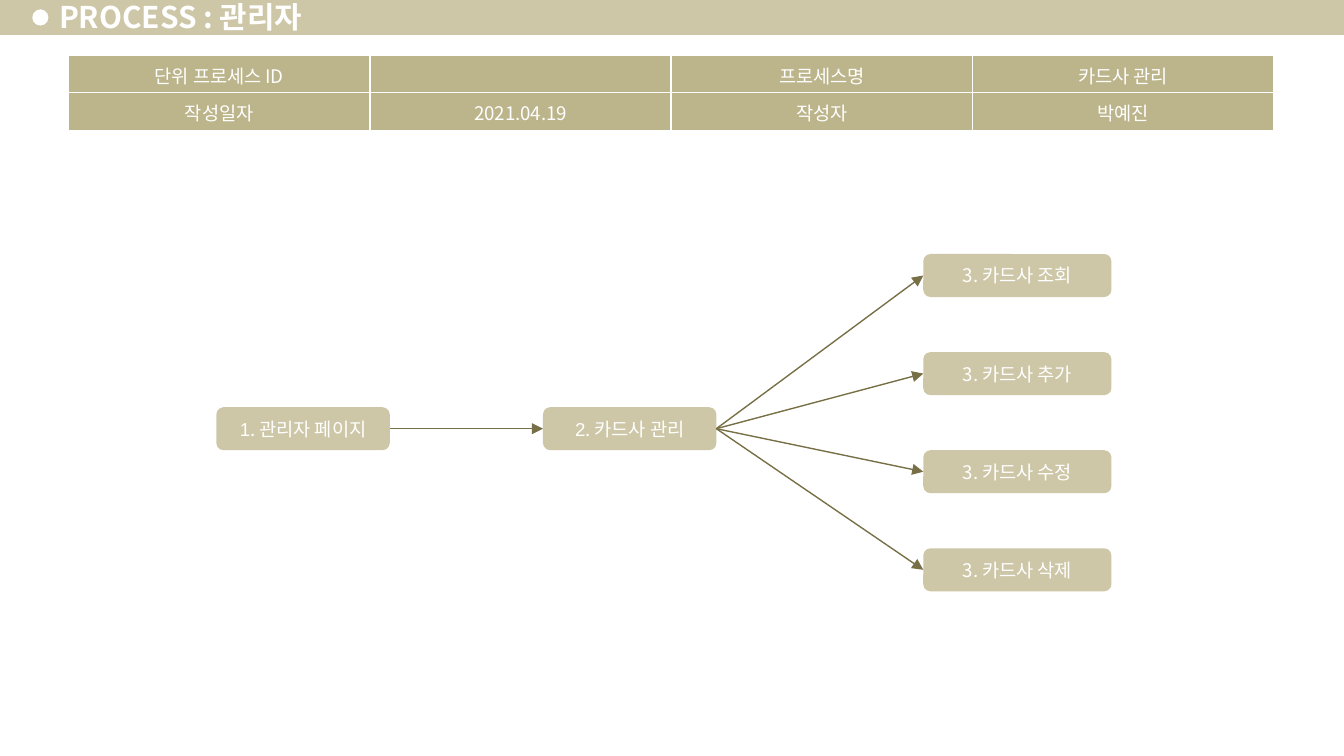
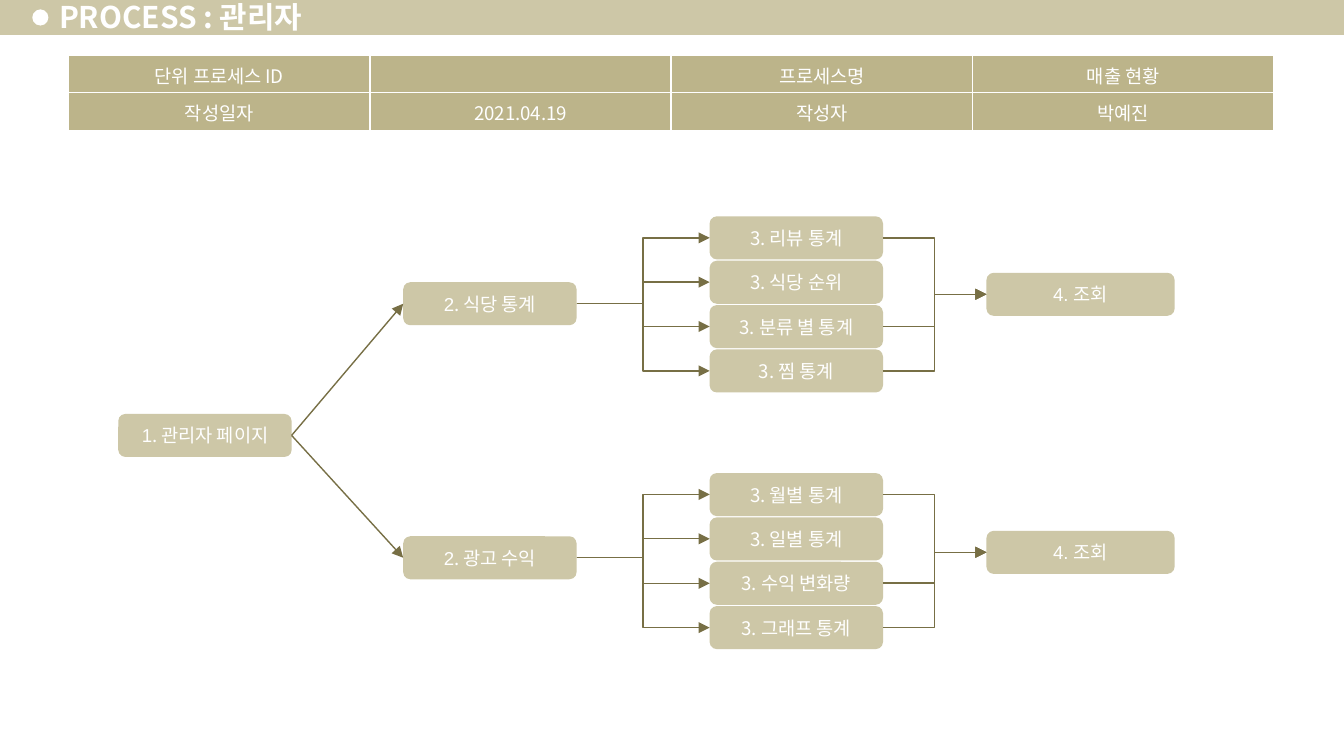
from dataclasses import dataclass

from lxml import etree
from pptx import Presentation
from pptx.dml.color import RGBColor
from pptx.enum.shapes import MSO_CONNECTOR, MSO_SHAPE
from pptx.enum.text import MSO_ANCHOR, PP_ALIGN
from pptx.oxml.ns import qn
from pptx.util import Inches, Pt


@dataclass(frozen=True)
class Theme:
    """Colours, fonts and type sizes of the deck."""
    band: RGBColor = RGBColor(0xCD, 0xC7, 0xA7)
    cell: RGBColor = RGBColor(0xBC, 0xB4, 0x8A)
    arrow: RGBColor = RGBColor(0x77, 0x6F, 0x45)
    white: RGBColor = RGBColor(0xFF, 0xFF, 0xFF)
    korean: str = "Noto Sans CJK KR"
    latin: str = "Arial"
    title: Pt = Pt(16)
    body: Pt = Pt(10)


theme = Theme()


def style_run(run, size, font=theme.korean, bold=False):
    """Give a run its size, white colour and Latin and Korean fonts."""
    run.font.size, run.font.bold, run.font.name = size, bold, font
    run.font.color.rgb = theme.white
    run.font._element.find(qn("a:latin")).addnext(
        etree.Element(qn("a:ea"), typeface=theme.korean))


def add_panel(slide, kind, color, left, top, width, height):
    """Add a flat preset shape without line or shadow."""
    panel = slide.shapes.add_shape(
        kind, Inches(left), Inches(top), Inches(width), Inches(height))
    panel.shadow.inherit = False
    panel.fill.solid()
    panel.fill.fore_color.rgb = color
    panel.line.fill.background()
    return panel


STRAIGHT, ELBOW = MSO_CONNECTOR.STRAIGHT, MSO_CONNECTOR.ELBOW
LEFT_SIDE, RIGHT_SIDE = 1, 3
STEP_HEIGHT, NARROW, WIDE = 0.32, 1.29, 1.4
ARIAL_NUMBERS = "12"  # levels with only the numeral in the Latin font

# Steps are (text, left, top, width); links are (from, to, connector kind).
card_steps = [("1. 관리자 페이지", 1.61, 3.03, NARROW),
              ("2. 카드사 관리", 4.04, 3.03, NARROW)]
card_links = [(0, 1, STRAIGHT)]
for row, action in enumerate(["조회", "추가", "수정", "삭제"]):
    card_links.append((1, len(card_steps), STRAIGHT))
    card_steps.append((f"3. 카드사 {action}", 6.87, 1.89 + 0.73 * row, WIDE))

sales_steps = [("1. 관리자 페이지", 0.88, 3.08, NARROW)]
sales_links = []
branches = [
    ("식당 통계", 2.1, 1.61, 2.03, ["리뷰 통계", "식당 순위", "분류 별 통계", "찜 통계"]),
    ("광고 수익", 3.99, 3.52, 3.95, ["월별 통계", "일별 통계", "수익 변화량", "그래프 통계"]),
]
for branch, branch_top, reports_top, view_top, reports in branches:
    branch_step = len(sales_steps)
    view_step = branch_step + 1
    sales_steps += [(f"2. {branch}", 3, branch_top, NARROW),
                    ("4. 조회", 7.34, view_top, WIDE)]
    sales_links.append((0, branch_step, STRAIGHT))
    for row, report in enumerate(reports):
        report_step = len(sales_steps)
        sales_steps.append((f"3. {report}", 5.28, reports_top + 0.33 * row, NARROW))
        sales_links.append((branch_step, report_step, ELBOW))
        if report not in ("식당 순위", "일별 통계"):  # these share the trunk
            sales_links.append((report_step, view_step, ELBOW))

processes = [("카드사 관리", card_steps, card_links),
             ("매출 현황", sales_steps, sales_links)]

deck = Presentation()
deck.slide_width = Inches(10)
deck.slide_height = deck.slide_width * 9 // 16

for process, steps, links in processes:
    slide = deck.slides.add_slide(deck.slide_layouts[6])

    # Title band
    add_panel(slide, MSO_SHAPE.RECTANGLE, theme.band, 0, -0.02, 10, 0.28)
    add_panel(slide, MSO_SHAPE.OVAL, theme.white, 0.24, 0.07, 0.12, 0.12)
    title = slide.shapes.add_textbox(
        Inches(0.35), Inches(-0.04), Inches(2.41), Inches(0.32)).text_frame
    title.word_wrap = True
    title.vertical_anchor = MSO_ANCHOR.MIDDLE
    title.margin_left = title.margin_right = Inches(0.09)
    title.margin_top = title.margin_bottom = Inches(0.04)
    title.text = "PROCESS : 관리자"
    style_run(title.paragraphs[0].runs[0], theme.title, bold=True)

    # Process details
    details = [["단위 프로세스 ID", "", "프로세스명", process],
               ["작성일자", "2021.04.19", "작성자", "박예진"]]
    table = slide.shapes.add_table(
        2, 4, Inches(0.51), Inches(0.41), Inches(8.97), Inches(0.56)).table
    for row, values in enumerate(details):
        for column, value in enumerate(values):
            cell = table.cell(row, column)
            cell.fill.solid()
            cell.fill.fore_color.rgb = theme.cell
            cell.vertical_anchor = MSO_ANCHOR.MIDDLE
            cell.margin_left = cell.margin_right = Inches(0.1)
            cell.margin_top = cell.margin_bottom = Inches(0.05)
            paragraph = cell.text_frame.paragraphs[0]
            paragraph.text = value
            paragraph.alignment = PP_ALIGN.CENTER
            for run in paragraph.runs:
                style_run(run, theme.body)
            etree.SubElement(paragraph._p, qn("a:endParaRPr"),
                             sz=str(int(theme.body.pt * 100)))
            properties = cell._tc.get_or_add_tcPr()
            for place, side in enumerate(["lnL", "lnR", "lnT", "lnB"]):
                border = etree.Element(qn(f"a:{side}"), w=str(int(Pt(1))))
                fill = etree.SubElement(border, qn("a:solidFill"))
                etree.SubElement(fill, qn("a:srgbClr"), val=str(theme.white))
                properties.insert(place, border)

    # Steps of the flow
    boxes = []
    for text, left, top, width in steps:
        box = add_panel(slide, MSO_SHAPE.ROUNDED_RECTANGLE, theme.band,
                        left, top, width, STEP_HEIGHT)
        box.text_frame.word_wrap = True
        box.text_frame.vertical_anchor = MSO_ANCHOR.MIDDLE
        paragraph = box.text_frame.paragraphs[0]
        paragraph.alignment = PP_ALIGN.CENTER
        number = text[0]
        if number in ARIAL_NUMBERS:
            parts = [(number, theme.latin), (text[1:], theme.korean)]
        else:
            parts = [(text, theme.latin if number == "4" else theme.korean)]
        for part, font in parts:
            run = paragraph.add_run()
            run.text = part
            style_run(run, theme.body, font)
        boxes.append(box)

    # Arrows between the steps
    for start, end, kind in links:
        arrow = slide.shapes.add_connector(kind, 0, 0, 0, 0)
        arrow.begin_connect(boxes[start], RIGHT_SIDE)
        arrow.end_connect(boxes[end], LEFT_SIDE)
        arrow.line.color.rgb = theme.arrow
        arrow.line.width = Pt(0.75)
        etree.SubElement(arrow.line._get_or_add_ln(), qn("a:tailEnd"), type="triangle")
        etree.SubElement(arrow._element.spPr, qn("a:effectLst"))

deck.save("out.pptx")
